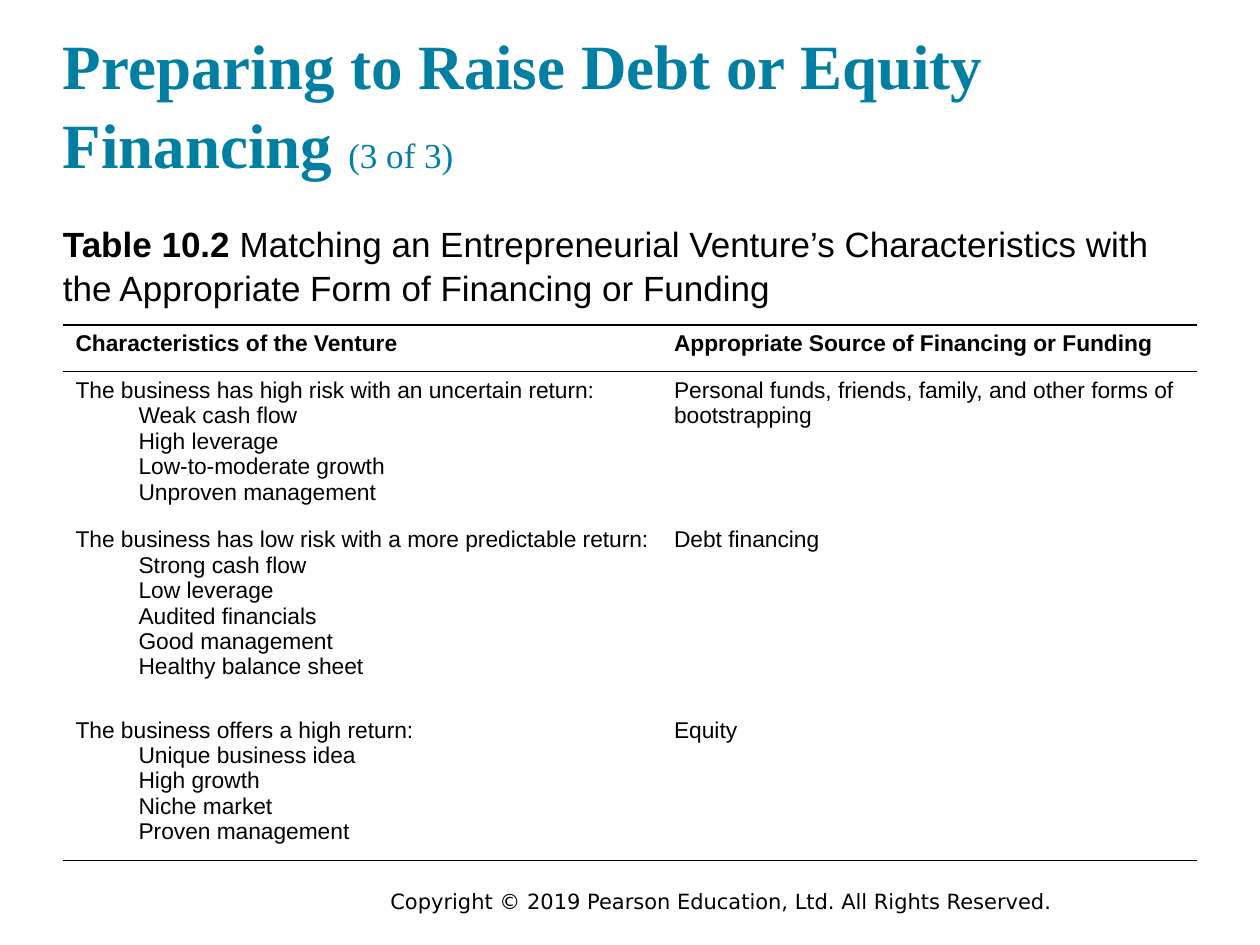
from lxml.etree import SubElement
from pptx import Presentation
from pptx.dml.color import RGBColor
from pptx.enum.text import MSO_ANCHOR
from pptx.oxml.ns import qn
from pptx.util import Inches, Pt

# Content
TITLE = [("Preparing to Raise Debt or Equity Financing ", "title"), ("(3 of 3)", "part")]
CAPTION = [
    ("Table 10.2 ", "label"),
    ("Matching an Entrepreneurial Venture’s Characteristics with "
     "the Appropriate Form of Financing or Funding", "caption"),
]
COPYRIGHT = [("Copyright © 2019 Pearson Education, Ltd. All Rights Reserved.", "copyright")]
HEADINGS = ("Characteristics of the Venture", "Appropriate Source of Financing or Funding")
VENTURES = [
    ("The business has high risk with an uncertain return:",
     ["Weak cash flow", "High leverage", "Low-to-moderate growth", "Unproven management"],
     "Personal funds, friends, family, and other forms of bootstrapping"),
    ("The business has low risk with a more predictable return:",
     ["Strong cash flow", "Low leverage", "Audited financials", "Good management",
      "Healthy balance sheet"],
     "Debt financing"),
    ("The business offers a high return:",
     ["Unique business idea", "High growth", "Niche market", "Proven management"],
     "Equity"),
]

# Theme: font, size, bold, colour for each kind of text
THEME = {
    "title": ("Times New Roman", 36, True, "007FA3"),
    "part": ("Times New Roman", 20, False, "007FA3"),
    "label": ("Arial", 20, True, "000000"),
    "caption": ("Arial", 20, False, "000000"),
    "heading": ("Arial", 13, True, "000000"),
    "cell": ("Arial", 13, False, "000000"),
    "copyright": ("DejaVu Sans", 12, False, "000000"),
    "rule": "000000",
    "paper": "FFFFFF",
}

# Layout in inches
SLIDE_WIDTH, SLIDE_HEIGHT = 10, 7.5
MARGIN = SLIDE_WIDTH / 20
CONTENT_WIDTH = SLIDE_WIDTH - 2 * MARGIN
TABLE_TOP = 2.58
COLUMN_WIDTHS = (4.75, 4.25)
ROW_HEIGHTS = (0.37, 1.1, 1.51, 1.1)
ITEM_INDENT = 0.5


def style(font, kind):
    font.name, size, font.bold, color = THEME[kind]
    font.size = Pt(size)
    font.color.rgb = RGBColor.from_string(color)


def add_text(slide, runs, left, top, width, height, inset=0, anchor=MSO_ANCHOR.TOP, spacing=None):
    frame = slide.shapes.add_textbox(*map(Inches, (left, top, width, height))).text_frame
    frame.word_wrap = True
    frame.vertical_anchor = anchor
    frame.margin_left = frame.margin_right = Inches(inset)
    frame.margin_top = frame.margin_bottom = Inches(inset / 2)
    paragraph = frame.paragraphs[0]
    paragraph.line_spacing = spacing
    for text, kind in runs:
        run = paragraph.add_run()
        run.text = text
        style(run.font, kind)


def set_borders(cell, ruled):
    """Draw the ruled sides and clear the others."""
    properties = cell._tc.get_or_add_tcPr()
    for position, side in enumerate(("lnL", "lnR", "lnT", "lnB")):
        line = SubElement(properties, qn(f"a:{side}"), w=str(Pt(1)))
        properties.remove(line)
        properties.insert(position, line)
        if side in ruled:
            fill = SubElement(line, qn("a:solidFill"))
            SubElement(fill, qn("a:srgbClr"), val=THEME["rule"])
        else:
            SubElement(line, qn("a:noFill"))


def fill_cell(cell, lines, kind, ruled):
    cell.fill.solid()
    cell.fill.fore_color.rgb = RGBColor.from_string(THEME["paper"])
    set_borders(cell, ruled)
    cell.text_frame.text = "\n".join(lines)
    for number, paragraph in enumerate(cell.text_frame.paragraphs):
        if number:
            paragraph._p.get_or_add_pPr().set("marL", str(Inches(ITEM_INDENT)))
        style(paragraph.runs[0].font, kind)


def add_ventures(slide):
    rows = [[[heading] for heading in HEADINGS]]
    rows += [[[summary, *traits], [source]] for summary, traits, source in VENTURES]
    table = slide.shapes.add_table(
        len(rows), len(HEADINGS), Inches(MARGIN), Inches(TABLE_TOP),
        Inches(CONTENT_WIDTH), Inches(sum(ROW_HEIGHTS))).table
    for column, width in zip(table.columns, COLUMN_WIDTHS):
        column.width = Inches(width)
    for row, height in zip(table.rows, ROW_HEIGHTS):
        row.height = Inches(height)
    # Rules frame the heading row and close the table
    ruled_sides = {0: ("lnT", "lnB"), 1: ("lnT",), len(rows) - 1: ("lnB",)}
    for r, row in enumerate(rows):
        for c, lines in enumerate(row):
            fill_cell(table.cell(r, c), lines, "cell" if r else "heading", ruled_sides.get(r, ()))


def main():
    deck = Presentation()
    deck.slide_width, deck.slide_height = Inches(SLIDE_WIDTH), Inches(SLIDE_HEIGHT)
    slide = deck.slides.add_slide(deck.slide_layouts[6])

    # Copyright line, title and caption
    add_text(slide, COPYRIGHT, 3, 7, 6.67, 0.3, inset=0.1)
    add_text(slide, TITLE, MARGIN, 0.24, CONTENT_WIDTH, 1.2,
             anchor=MSO_ANCHOR.BOTTOM, spacing=1.05)
    add_text(slide, CAPTION, MARGIN, 1.75, CONTENT_WIDTH, 0.75, spacing=1.05)

    # Table of ventures
    add_ventures(slide)
    deck.save("out.pptx")


if __name__ == "__main__":
    main()
